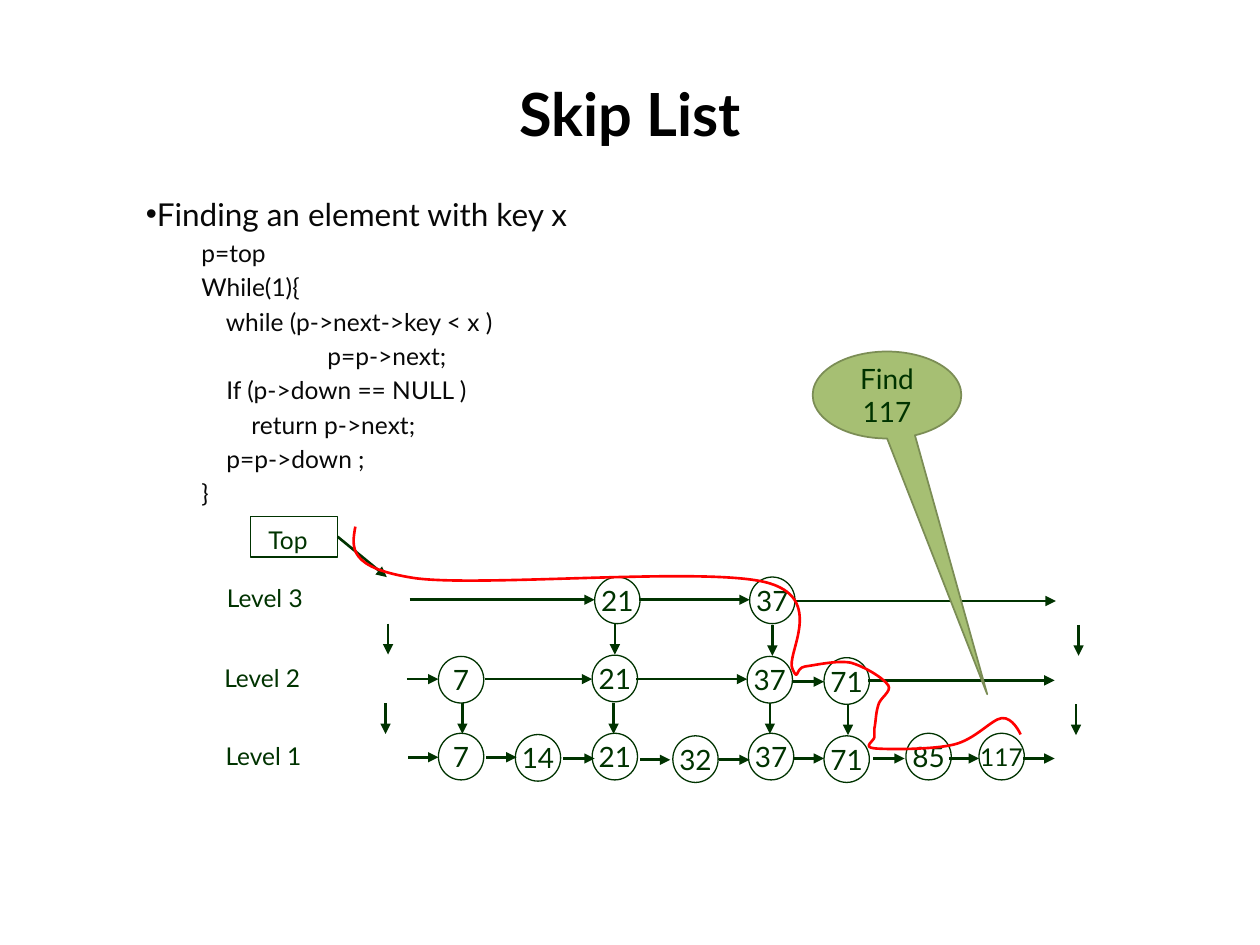
from pptx import Presentation
from pptx.dml.color import RGBColor
from pptx.enum.shapes import MSO_CONNECTOR, MSO_SHAPE
from pptx.enum.text import MSO_ANCHOR, PP_ALIGN
from pptx.oxml.ns import qn
from pptx.util import Inches, Pt
from lxml import etree

GREEN = RGBColor(0x00, 0x33, 0x00)
WHITE = RGBColor(0xFF, 0xFF, 0xFF)
BLACK = RGBColor(0x00, 0x00, 0x00)
INK = RGBColor(0x08, 0x08, 0x08)
RED = RGBColor(0xFF, 0x00, 0x00)
BUBBLE_FILL = RGBColor(0xA6, 0xBF, 0x73)
BUBBLE_LINE = RGBColor(0x7B, 0x8D, 0x55)
FONT = "Lato"

LEFT, CENTER, JUSTIFY = PP_ALIGN.LEFT, PP_ALIGN.CENTER, PP_ALIGN.JUSTIFY
TOP, MIDDLE = MSO_ANCHOR.TOP, MSO_ANCHOR.MIDDLE
OVAL, RECTANGLE = MSO_SHAPE.OVAL, MSO_SHAPE.RECTANGLE
CALLOUT = MSO_SHAPE.OVAL_CALLOUT
STRAIGHT = MSO_CONNECTOR.STRAIGHT
RIGHT_SIDE = 3

NODE_W, NODE_H = 0.36, 0.37
DOWN_LENGTH = 0.245

HEADING = "Finding an element with key x "
CODE = [
    "p=top",
    "While(1){",
    "    while (p->next->key < x )",
    "  \tp=p->next;",
    "    If (p->down == NULL ) ",
    "        return p->next;",
    "    p=p->down ;",
    "}",
]

# Each level: label (text, left, top), nodes (key, left, top),
# next arrows (from x, to x, y) and down arrows (x, from y)
LEVELS = [
    {"label": ("Level 1", 1.78, 5.87),
     "nodes": [("7", 3.48, 5.82), ("14", 4.09, 5.83), ("21", 4.7, 5.82),
               ("32", 5.34, 5.84), ("37", 5.94, 5.82), ("71", 6.54, 5.84),
               ("85", 7.19, 5.82), ("117", 7.77, 5.82)],
     "next": [(3.24, 3.48, 6.01), (3.86, 4.1, 6.01), (4.47, 4.72, 6.02),
              (5.08, 5.32, 6.03), (5.71, 5.95, 6.03), (6.29, 6.54, 6.02),
              (6.93, 7.18, 6.02), (7.53, 7.77, 6.02), (8.12, 8.37, 6.02)],
     "down": []},
    {"label": ("Level 2", 1.77, 5.25),
     "nodes": [("7", 3.48, 5.21), ("21", 4.7, 5.2), ("37", 5.93, 5.21),
               ("71", 6.54, 5.22)],
     "next": [(3.23, 3.48, 5.39), (3.85, 4.7, 5.39), (5.05, 5.93, 5.39),
              (6.29, 6.54, 5.41), (6.89, 8.37, 5.4)],
     "down": [(3.06, 5.58), (3.67, 5.58), (4.87, 5.58), (6.11, 5.58),
              (6.73, 5.59), (8.54, 5.59)]},
    {"label": ("Level 3", 1.79, 4.62),
     "nodes": [("21", 4.72, 4.58), ("37", 5.95, 4.58)],
     "next": [(3.25, 4.72, 4.76), (5.07, 5.95, 4.76), (6.31, 8.38, 4.77)],
     "down": [(3.08, 4.95), (4.88, 4.95), (6.13, 4.96), (8.56, 4.96)]},
]

# Search path: start point, then two control points and an end point per curve
SEARCH_START = (2.82, 4.18)
SEARCH_CURVES = [
    ((2.79, 4.35), (2.76, 4.51), (3.3, 4.59)),
    ((3.84, 4.66), (5.57, 4.5), (6.07, 4.62)),
    ((6.57, 4.74), (6.23, 5.2), (6.29, 5.31)),
    ((6.34, 5.42), (6.31, 5.3), (6.39, 5.29)),
    ((6.47, 5.28), (6.64, 5.24), (6.75, 5.26)),
    ((6.86, 5.29), (7.01, 5.38), (7.05, 5.44)),
    ((7.08, 5.49), (6.98, 5.54), (6.97, 5.6)),
    ((6.95, 5.66), (6.95, 5.74), (6.94, 5.78)),
    ((6.94, 5.82), (6.94, 5.85), (6.94, 5.85)),
    ((6.94, 5.88), (6.84, 5.93), (6.94, 5.94)),
    ((7.05, 5.95), (7.41, 5.95), (7.57, 5.91)),
    ((7.74, 5.87), (7.87, 5.71), (7.95, 5.7)),
    ((8.04, 5.69), (8.1, 5.83), (8.1, 5.83)),
]


def set_attributes(target, values):
    for name, value in values.items():
        setattr(target, name, value)


def format_paragraph(paragraph, size, color, align, bold=False):
    paragraph.alignment = align
    set_attributes(paragraph.font, {"name": FONT, "size": Pt(size), "bold": bold})
    paragraph.font.color.rgb = color


def set_frame(frame, wrap=True, anchor=TOP, margins=(0.1, 0.05, 0.1, 0.05)):
    left, top, right, bottom = map(Inches, margins)
    set_attributes(frame, {
        "word_wrap": wrap, "vertical_anchor": anchor, "margin_left": left,
        "margin_top": top, "margin_right": right, "margin_bottom": bottom})


def add_outlined(slide, kind, box, fill, line, width):
    shape = slide.shapes.add_shape(kind, *map(Inches, box))
    shape.shadow.inherit = False
    if fill is None:
        shape.fill.background()
    else:
        shape.fill.solid()
        shape.fill.fore_color.rgb = fill
    shape.line.color.rgb = line
    shape.line.width = Pt(width)
    return shape


def add_node(slide, key, left, top):
    node = add_outlined(slide, OVAL, (left, top, NODE_W, NODE_H), WHITE, GREEN, 0.75)
    set_frame(node.text_frame, wrap=False, anchor=MIDDLE)
    node.text_frame.text = key
    size = 14 if len(key) > 2 else 16
    format_paragraph(node.text_frame.paragraphs[0], size, GREEN, CENTER)


def add_arrow(slide, x1, y1, x2, y2):
    arrow = slide.shapes.add_connector(STRAIGHT, *map(Inches, (x1, y1, x2, y2)))
    arrow.line.color.rgb = GREEN
    arrow.line.width = Pt(1.5)
    properties = arrow._element.spPr
    etree.SubElement(properties.find(qn("a:ln")), qn("a:tailEnd"), type="triangle")
    etree.SubElement(properties, qn("a:effectLst"))
    return arrow


def add_level(slide, level):
    text, left, top = level["label"]
    label = slide.shapes.add_textbox(*map(Inches, (left, top, 0.69, 0.25)))
    set_frame(label.text_frame, margins=(0.01, 0.01, 0, 0))
    label.text_frame.text = text
    format_paragraph(label.text_frame.paragraphs[0], 14, GREEN, LEFT)
    for node in level["nodes"]:
        add_node(slide, *node)
    for start, end, y in level["next"]:
        add_arrow(slide, start, y, end, y)
    for x, y in level["down"]:
        add_arrow(slide, x, y, x, y + DOWN_LENGTH)


def add_title(slide):
    title = slide.shapes.title
    set_attributes(title, {"left": Inches(0.5), "top": Inches(0.5),
                           "width": Inches(9), "height": Inches(0.79)})
    set_frame(title.text_frame, anchor=MIDDLE)
    title.text_frame.text = "Skip List"
    format_paragraph(title.text_frame.paragraphs[0], 34, BLACK, CENTER, bold=True)


def add_algorithm(slide):
    frame = slide.shapes.add_textbox(*map(Inches, (1.06, 1.5, 7.87, 4.5))).text_frame
    set_frame(frame)
    heading = frame.paragraphs[0]
    heading.add_run().text = HEADING
    properties = heading._p.get_or_add_pPr()
    set_attributes(properties, {"marL": Inches(0.38), "indent": Inches(-0.38)})
    etree.SubElement(properties, qn("a:buFont"), typeface="Arial")
    etree.SubElement(properties, qn("a:buChar"), char="•")
    format_paragraph(heading, 18, INK, JUSTIFY)
    for code in CODE:
        line = frame.add_paragraph()
        line.add_run().text = code
        line.level = 1
        line.space_before = Pt(2.8)
        properties = line._p.get_or_add_pPr()
        for name, length in {"marL": 0.44, "indent": 0, "defTabSz": 1}.items():
            properties.set(name, str(Inches(length)))
        format_paragraph(line, 14, INK, JUSTIFY)


def add_top_pointer(slide):
    top = add_outlined(slide, RECTANGLE, (1.99, 4.1, 0.69, 0.32), None, GREEN, 0.75)
    set_frame(top.text_frame, margins=(0.14, 0.07, 0, 0))
    top.text_frame.text = "Top"
    format_paragraph(top.text_frame.paragraphs[0], 14, GREEN, LEFT)
    add_arrow(slide, 2.68, 4.26, 3.07, 4.58).begin_connect(top, RIGHT_SIDE)


def add_find_bubble(slide):
    bubble = add_outlined(slide, CALLOUT, (6.45, 2.79, 1.18, 0.69),
                          BUBBLE_FILL, BUBBLE_LINE, 1)
    bubble.adjustments[0], bubble.adjustments[1] = 0.674, 3.441
    set_frame(bubble.text_frame, anchor=MIDDLE)
    bubble.text_frame.text = "Find 117"
    format_paragraph(bubble.text_frame.paragraphs[0], 16, GREEN, CENTER)


def add_search_path(slide):
    builder = slide.shapes.build_freeform(*map(Inches, SEARCH_START))
    builder.add_line_segments(
        [tuple(map(Inches, curve[-1])) for curve in SEARCH_CURVES], close=False)
    route = builder.convert_to_shape()
    # Turn each straight segment into a Bezier curve
    segments = list(route._element.iter(qn("a:lnTo")))
    for segment, curve in zip(segments, SEARCH_CURVES):
        bezier = etree.Element(qn("a:cubicBezTo"))
        for x, y in curve:
            etree.SubElement(bezier, qn("a:pt"), x=str(Inches(x) - route.left),
                             y=str(Inches(y) - route.top))
        segment.getparent().replace(segment, bezier)
    route.shadow.inherit = False
    route.fill.background()
    route.line.color.rgb = RED
    route.line.width = Pt(1.5)


def main():
    deck = Presentation()
    deck.slide_width, deck.slide_height = Inches(10), Inches(7.5)
    slide = deck.slides.add_slide(deck.slide_layouts[5])
    add_title(slide)
    add_algorithm(slide)
    for level in LEVELS:
        add_level(slide, level)
    add_top_pointer(slide)
    add_find_bubble(slide)
    add_search_path(slide)
    deck.save("out.pptx")


if __name__ == "__main__":
    main()
